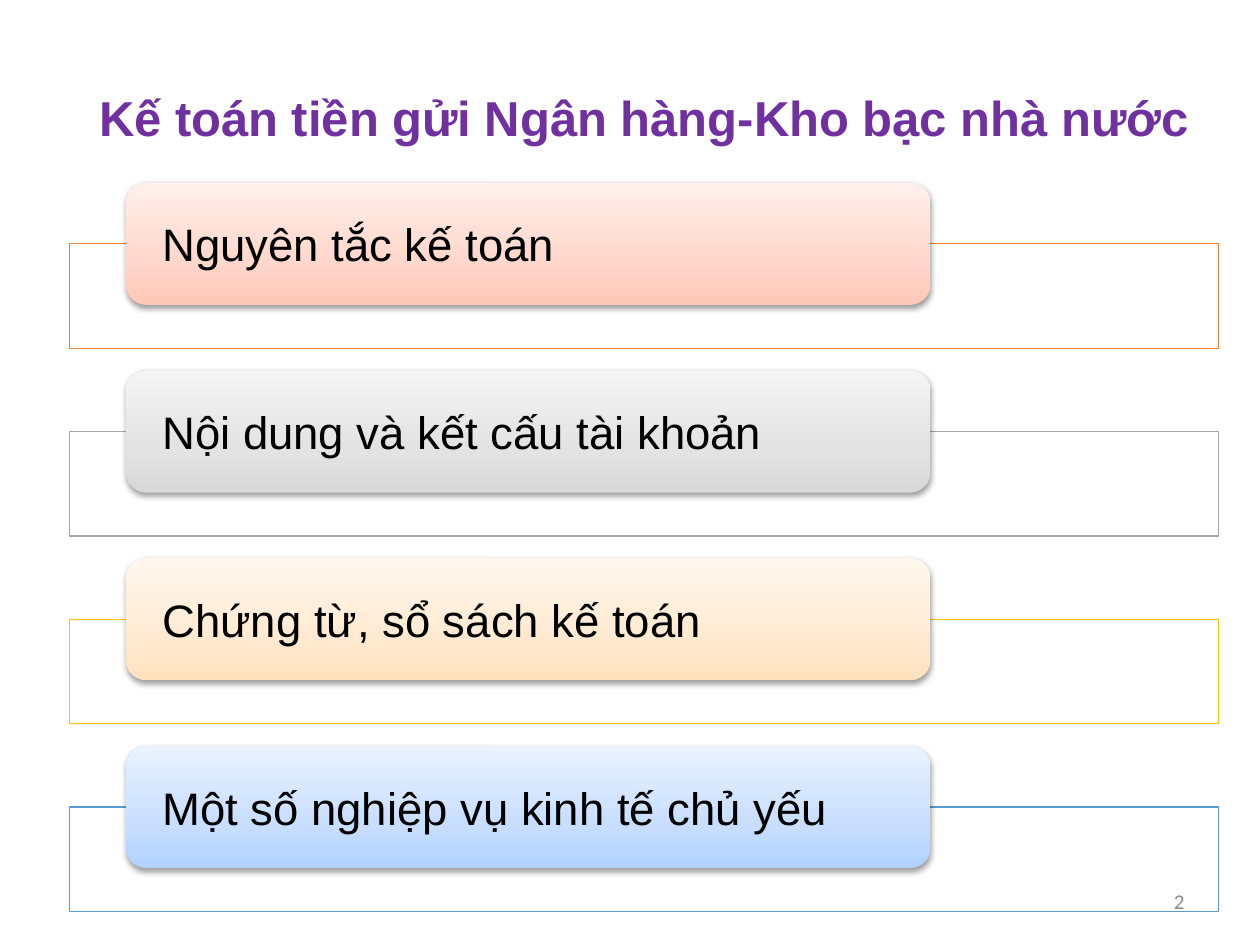
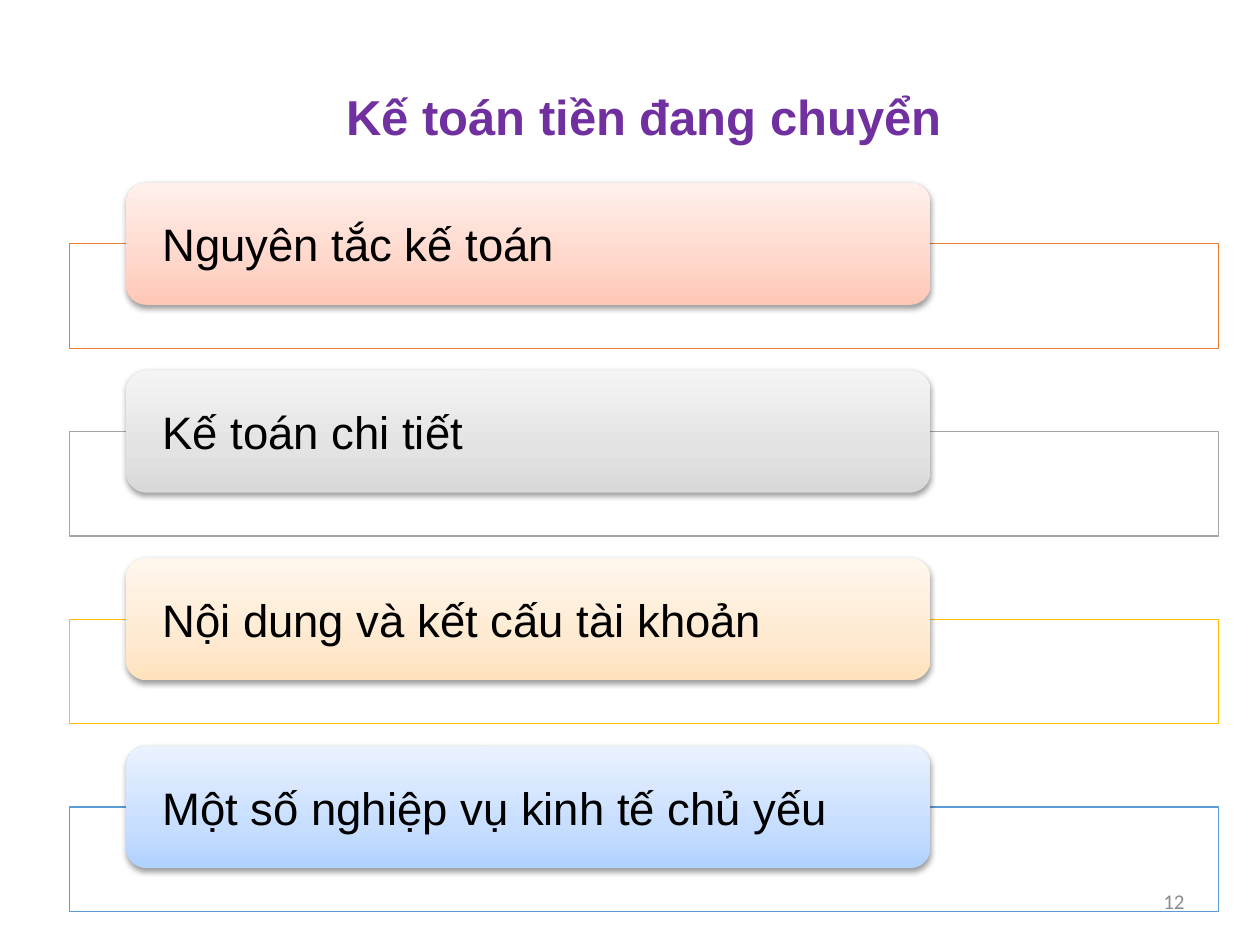
import lxml.etree
import pptx
import pptx.dml.color
import pptx.enum.shapes
import pptx.enum.text
import pptx.oxml
import pptx.oxml.ns
import pptx.util

# title, title line spacing, topics, page number
SLIDES = [
    ("Kế toán tiền gửi Ngân hàng-Kho bạc nhà nước", 1.2,
     ["Nguyên tắc kế toán", "Nội dung và kết cấu tài khoản",
      "Chứng từ, sổ sách kế toán", "Một số nghiệp vụ kinh tế chủ yếu"], "2"),
    ("Kế toán tiền đang chuyển", 0.9,
     ["Nguyên tắc kế toán", "Kế toán chi tiết",
      "Nội dung và kết cấu tài khoản", "Một số nghiệp vụ kinh tế chủ yếu"], "12"),
]

# panel outline, pill gradient from bottom to top
ROW_COLORS = [
    ("ED7D31", ("FFC7B6", "FFD7CB", "FFF0EB")),
    ("A5A5A5", ("D8D8D8", "E3E3E3", "F4F4F4")),
    ("FFC000", ("FFE2BD", "FFEAD1", "FFF7EE")),
    ("5B9BD5", ("B0D2FF", "C7DEFF", "EAF2FF")),
]
GRADIENT_STOPS = (0, 35, 100)
WHITE, BLACK, PURPLE, GRAY = "FFFFFF", "000000", "7030A0", "8C8C8C"

SLIDE_WIDTH, SLIDE_HEIGHT = 10, 7.5
LEFT, CONTENT_WIDTH = 0.55, 9.12
FIRST_ROW, ROW_PITCH = 1.45, 1.49
PILL_LEFT, PILL_WIDTH, PILL_HEIGHT = 1, 0.7 * CONTENT_WIDTH, 0.97
PANEL_DROP, PANEL_HEIGHT = PILL_HEIGHT / 2, 0.83
PILL_INSET = 0.24

ALIGN = pptx.enum.text.PP_ALIGN
ANCHOR = pptx.enum.text.MSO_ANCHOR
SHAPE = pptx.enum.shapes.MSO_SHAPE


def rgb(color):
    return pptx.dml.color.RGBColor.from_string(color)


def inches(*lengths):
    return [pptx.util.Inches(length) for length in lengths]


def add_element(parent, tag, **attributes):
    """Append a DrawingML element to parent and return it."""
    element = lxml.etree.SubElement(parent, pptx.oxml.ns.qn(tag))
    for name, value in attributes.items():
        element.set(name, str(value))
    return element


def add_color(parent, color, alpha=None):
    element = add_element(parent, "a:srgbClr", val=color)
    if alpha is not None:
        add_element(element, "a:alpha", val=alpha * 1000)


def write(shape, text, font_name, size, color, align, anchor, bold=False):
    """Set the one paragraph of a shape and return it."""
    frame = shape.text_frame
    frame.word_wrap = True
    frame.vertical_anchor = anchor
    frame.text = text
    paragraph = frame.paragraphs[0]
    paragraph.alignment = align
    font = paragraph.runs[0].font
    font.name, font.size, font.bold = font_name, pptx.util.Pt(size), bold
    font.color.rgb = rgb(color)
    return paragraph


def add_panel(slide, top, outline):
    panel = slide.shapes.add_shape(
        SHAPE.RECTANGLE, *inches(LEFT, top, CONTENT_WIDTH, PANEL_HEIGHT))
    panel.shadow.inherit = False
    panel.fill.solid()
    panel.fill.fore_color.rgb = rgb(WHITE)
    fill_color = panel._element.spPr.find(".//" + pptx.oxml.ns.qn("a:srgbClr"))
    add_element(fill_color, "a:alpha", val=90000)
    panel.line.color.rgb = rgb(outline)
    panel.line.width = pptx.util.Pt(0.75)


def add_pill(slide, top, topic, gradient):
    pill = slide.shapes.add_shape(
        SHAPE.ROUNDED_RECTANGLE, *inches(PILL_LEFT, top, PILL_WIDTH, PILL_HEIGHT))
    pill.line.fill.background()
    pill.fill.gradient()
    pill.fill.gradient_angle = 90
    properties = pill._element.spPr
    stop_list = properties.find(".//" + pptx.oxml.ns.qn("a:gsLst"))
    for stop in list(stop_list):
        stop_list.remove(stop)
    for position, color in zip(GRADIENT_STOPS, gradient):
        add_color(add_element(stop_list, "a:gs", pos=position * 1000), color)

    pill.shadow.inherit = False
    effects = properties.find(pptx.oxml.ns.qn("a:effectLst"))
    shadow = add_element(effects, "a:outerShdw", blurRad=pptx.util.Pt(3.1),
                         dist=pptx.util.Pt(1.6), dir=90 * 60000, rotWithShape=0)
    add_color(shadow, BLACK, alpha=38)

    frame = pill.text_frame
    frame.margin_left = frame.margin_right = pptx.util.Inches(PILL_INSET)
    frame.margin_top = frame.margin_bottom = 0
    write(pill, topic, "Arial", 26, BLACK, ALIGN.JUSTIFY, ANCHOR.MIDDLE)


def add_slide(presentation, title, line_spacing, topics, number):
    slide = presentation.slides.add_slide(presentation.slide_layouts[6])
    slide.background.fill.solid()
    slide.background.fill.fore_color.rgb = rgb(WHITE)
    for row, (topic, (outline, gradient)) in enumerate(zip(topics, ROW_COLORS)):
        top = FIRST_ROW + row * ROW_PITCH
        add_panel(slide, top + PANEL_DROP, outline)
        add_pill(slide, top, topic, gradient)

    title_box = slide.shapes.add_textbox(*inches(LEFT, 0.27, CONTENT_WIDTH, 0.94))
    paragraph = write(title_box, title, "Arial", 28, PURPLE,
                      ALIGN.CENTER, ANCHOR.BOTTOM, bold=True)
    paragraph.line_spacing = line_spacing
    number_box = slide.shapes.add_textbox(*inches(7.17, 6.95, 2.33, 0.4))
    write(number_box, number, "Calibri", 12, GRAY, ALIGN.RIGHT, ANCHOR.MIDDLE)


def main():
    presentation = pptx.Presentation()
    presentation.slide_width, presentation.slide_height = inches(SLIDE_WIDTH, SLIDE_HEIGHT)
    for content in SLIDES:
        add_slide(presentation, *content)
    presentation.save("out.pptx")


if __name__ == "__main__":
    main()
